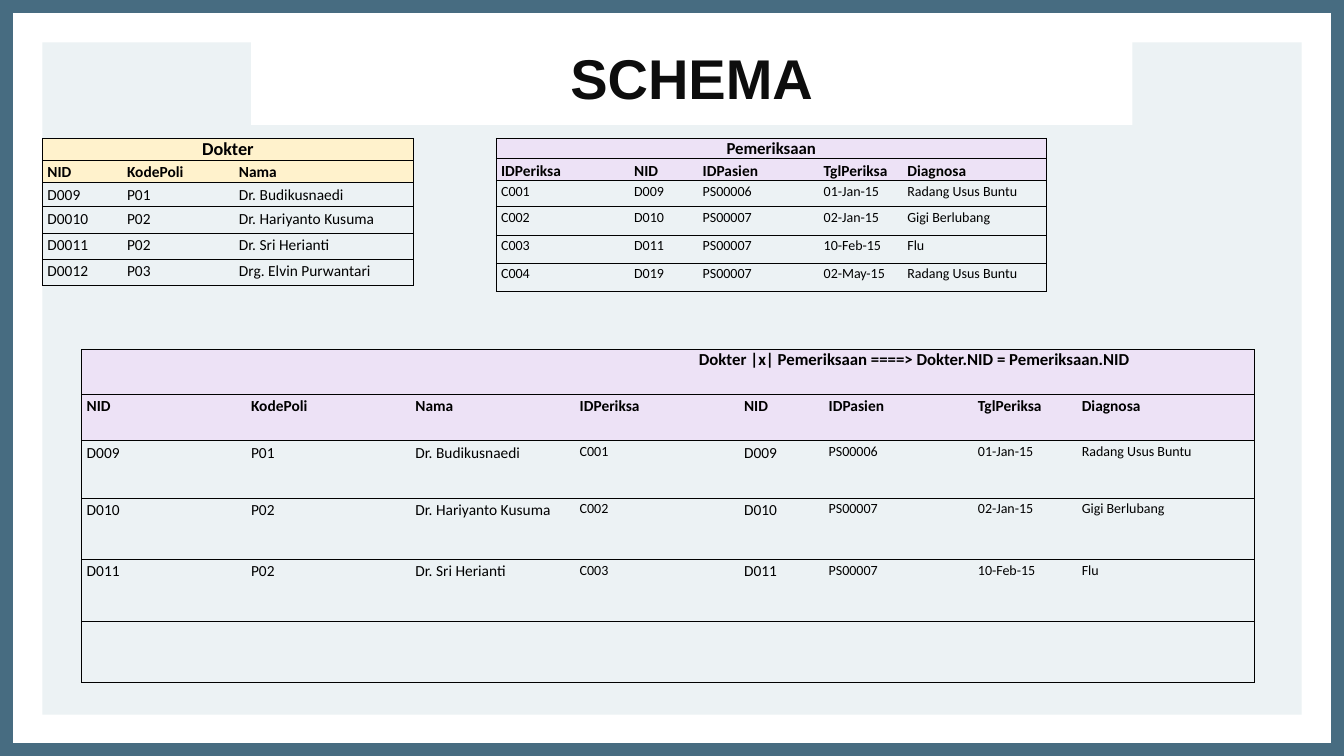
from dataclasses import dataclass

from lxml.etree import SubElement
from pptx import Presentation
from pptx.dml.color import RGBColor
from pptx.enum.shapes import MSO_SHAPE as Preset
from pptx.enum.text import MSO_ANCHOR as Anchor, PP_ALIGN as Align
from pptx.oxml.ns import qn
from pptx.slide import Slide
from pptx.table import _Cell as Cell
from pptx.util import Inches, Pt


@dataclass(frozen=True)
class Theme:
    border: str = "476C81"
    panel: str = "ECF2F4"
    white: str = "FFFFFF"
    title: str = "0D0D0D"
    ink: str = "000000"
    yellow: str = "FFF2CC"
    lilac: str = "EDE2F6"
    title_font: str = "Arial"
    table_font: str = "Calibri"
    title_size: int = 40
    large_caption: int = 13
    caption: int = 12
    regular: int = 11
    small: int = 10
    rule_width: float = 0.5


THEME = Theme()


@dataclass(frozen=True)
class Relation:
    """A database table; caption_column is where its merged caption starts."""
    caption: str
    caption_size: int
    header_fill: str
    left: float
    top: float
    widths: list[float]
    heights: list[float]
    header: list[str]
    records: list[list[str]]
    body_sizes: list[int]
    caption_column: int = 0


RELATIONS = [
    Relation(
        "Dokter", THEME.large_caption, THEME.yellow, 0.42, 1.37,
        [0.79, 1.11, 1.78], [0.21, 0.22, 0.24, 0.26, 0.26, 0.26],
        ["NID", "KodePoli", "Nama"],
        [
            ["D009", "P01", "Dr. Budikusnaedi"],
            ["D0010", "P02", "Dr. Hariyanto Kusuma"],
            ["D0011", "P02", "Dr. Sri Herianti"],
            ["D0012", "P03", "Drg. Elvin Purwantari"],
        ],
        [THEME.regular] * 3,
    ),
    Relation(
        "Pemeriksaan", THEME.caption, THEME.lilac, 4.92, 1.37,
        [1.32, 0.68, 1.2, 0.83, 1.43], [0.2, 0.21, 0.26, 0.28, 0.28, 0.28],
        ["IDPeriksa", "NID", "IDPasien", "TglPeriksa", "Diagnosa"],
        [
            ["C001", "D009", "PS00006", "01-Jan-15", "Radang Usus Buntu"],
            ["C002", "D010", "PS00007", "02-Jan-15", "Gigi Berlubang"],
            ["C003", "D011", "PS00007", "10-Feb-15", "Flu"],
            ["C004", "D019", "PS00007", "02-May-15", "Radang Usus Buntu"],
        ],
        [THEME.small] * 5,
    ),
    Relation(
        "Dokter |x| Pemeriksaan ====> Dokter.NID = Pemeriksaan.NID",
        THEME.caption, THEME.lilac, 0.81, 3.47,
        [1.63] * 4 + [0.84, 1.48, 1.03, 1.76],
        [0.44, 0.46, 0.57, 0.61, 0.61, 0.61],
        ["NID", "KodePoli", "Nama", "IDPeriksa", "NID", "IDPasien",
         "TglPeriksa", "Diagnosa"],
        [
            ["D009", "P01", "Dr. Budikusnaedi", "C001", "D009", "PS00006",
             "01-Jan-15", "Radang Usus Buntu"],
            ["D010", "P02", "Dr. Hariyanto Kusuma", "C002", "D010", "PS00007",
             "02-Jan-15", "Gigi Berlubang"],
            ["D011", "P02", "Dr. Sri Herianti", "C003", "D011", "PS00007",
             "10-Feb-15", "Flu"],
            [""] * 8,
        ],
        [THEME.regular] * 3 + [THEME.small, THEME.regular] + [THEME.small] * 3,
        caption_column=3,
    ),
]


def add_block(slide: Slide, preset: Preset, left: float, top: float,
              width: float, height: float, color: str):
    block = slide.shapes.add_shape(
        preset, Inches(left), Inches(top), Inches(width), Inches(height))
    block.shadow.inherit = False
    block.fill.solid()
    block.fill.fore_color.rgb = RGBColor.from_string(color)
    block.line.fill.background()
    return block


def set_title(slide: Slide, wording: str) -> None:
    title = slide.shapes.title
    title.left, title.top = Inches(2.49), Inches(0.29)
    title.width, title.height = Inches(8.74), Inches(0.95)
    title.fill.solid()
    title.fill.fore_color.rgb = RGBColor.from_string(THEME.white)
    title.text_frame.text = wording
    title.text_frame.vertical_anchor = Anchor.MIDDLE
    heading = title.text_frame.paragraphs[0]
    heading.alignment = Align.CENTER
    heading.font.name = THEME.title_font
    heading.font.size = Pt(THEME.title_size)
    heading.font.bold = True
    heading.font.color.rgb = RGBColor.from_string(THEME.title)
    slide.shapes._spTree.append(title._element)  # in front of the panel


def set_borders(cell: Cell, left: bool, right: bool) -> None:
    """Rule the cell above and below, and at the sides asked for."""
    properties = cell._tc.get_or_add_tcPr()
    sides = {"L": left, "R": right, "T": True, "B": True}
    for position, (side, visible) in enumerate(sides.items()):
        rule = SubElement(properties, qn(f"a:ln{side}"),
                          w=str(Pt(THEME.rule_width)))
        if visible:
            paint = SubElement(rule, qn("a:solidFill"))
            SubElement(paint, qn("a:srgbClr"), val=THEME.ink)
        else:
            SubElement(rule, qn("a:noFill"))
        properties.insert(position, rule)


def write_cell(cell: Cell, wording: str, size: int, bold: bool) -> None:
    cell.margin_left = cell.margin_right = Inches(0.05)
    cell.margin_top = cell.margin_bottom = 0
    cell.text = wording
    line = cell.text_frame.paragraphs[0]
    line.font.name = THEME.table_font
    line.font.size = Pt(size)
    line.font.bold = bold
    line.font.color.rgb = RGBColor.from_string(THEME.ink)


def add_relation(slide: Slide, relation: Relation) -> None:
    column_count = len(relation.widths)
    captions = [""] * column_count
    captions[relation.caption_column] = relation.caption
    rows = [captions, relation.header, *relation.records]
    table = slide.shapes.add_table(
        len(rows), column_count, Inches(relation.left), Inches(relation.top),
        Inches(sum(relation.widths)), Inches(sum(relation.heights))).table
    table.first_row = table.horz_banding = False
    for column, width in zip(table.columns, relation.widths):
        column.width = Inches(width)
    for row, height in zip(table.rows, relation.heights):
        row.height = Inches(height)
    caption_cell = table.cell(0, relation.caption_column)
    caption_cell.merge(table.cell(0, column_count - 1))

    heading_sizes = [[relation.caption_size] * column_count,
                     [THEME.regular] * column_count]
    sizes = heading_sizes + [relation.body_sizes] * len(relation.records)
    for r, row in enumerate(rows):
        for c, wording in enumerate(row):
            cell = table.cell(r, c)
            is_heading = r < len(heading_sizes)
            write_cell(cell, wording, sizes[r][c], is_heading)
            if r > 0:
                cell.text_frame.paragraphs[0].line_spacing = 1.15
            if is_heading:
                cell.fill.solid()
                cell.fill.fore_color.rgb = RGBColor.from_string(
                    relation.header_fill)
            else:
                cell.fill.background()
            set_borders(cell, c == 0, c + cell.span_width == column_count)
    caption_cell.text_frame.paragraphs[0].alignment = Align.CENTER


def main() -> None:
    deck = Presentation()
    deck.slide_width, deck.slide_height = Inches(13.33), Inches(7.5)
    slide = deck.slides.add_slide(deck.slide_layouts[5])
    frame = add_block(slide, Preset.FRAME, 0, 0, 13.33, 7.5, THEME.border)
    frame.adjustments[0] = 0.017
    add_block(slide, Preset.RECTANGLE, 0.42, 0.42, 12.49, 6.67, THEME.panel)
    set_title(slide, "SCHEMA")
    for relation in RELATIONS:
        add_relation(slide, relation)
    deck.save("out.pptx")


if __name__ == "__main__":
    main()
